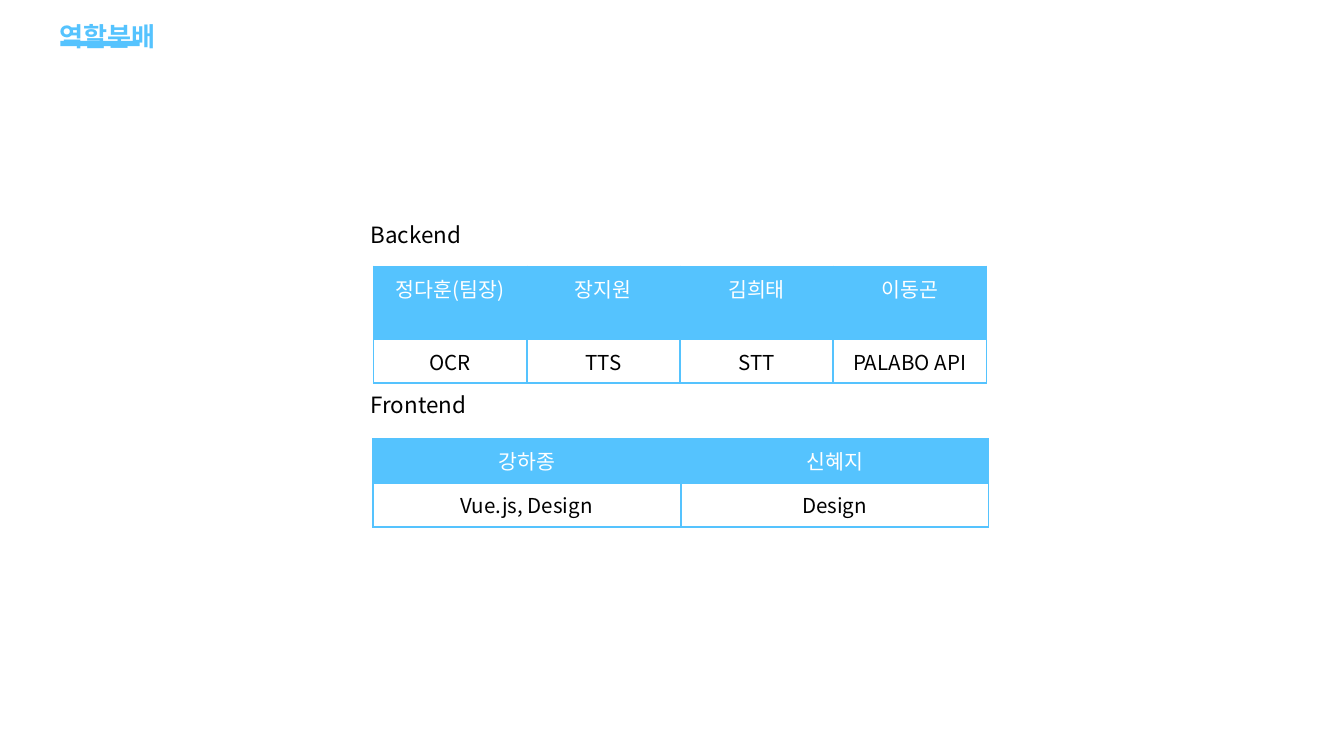
from dataclasses import dataclass

from lxml import etree
from pptx import Presentation
from pptx.dml.color import RGBColor
from pptx.enum.shapes import MSO_SHAPE
from pptx.enum.text import MSO_ANCHOR, MSO_AUTO_SIZE, PP_ALIGN
from pptx.oxml.ns import qn
from pptx.util import Inches, Pt

RECT = MSO_SHAPE.RECTANGLE
LEFT, CENTER = PP_ALIGN.LEFT, PP_ALIGN.CENTER
TOP = MSO_ANCHOR.TOP
NO_FIT, GROW = MSO_AUTO_SIZE.NONE, MSO_AUTO_SIZE.SHAPE_TO_FIT_TEXT

FONT = "Noto Sans CJK KR"
SKY, WHITE, BLACK = "55C3FE", "FFFFFF", "000000"

# The 16:9 slide is a grid of 100 columns by 100 rows.
WIDTH = Inches(10)
HEIGHT = WIDTH * 9 // 16
COL, ROW = WIDTH / 100, HEIGHT / 100


@dataclass
class Box:
    x: float
    y: float
    w: float
    h: float

    def emu(self) -> tuple[int, int, int, int]:
        return (round(self.x * COL), round(self.y * ROW),
                round(self.w * COL), round(self.h * ROW))


@dataclass
class Team:
    name: str
    label: Box
    table: Box
    roles: dict[str, str]


TEAMS = [
    Team("Backend", Box(26.6, 28.35, 9, 5.3), Box(27.8, 35.25, 45.6, 10),
         {"정다훈(팀장)": "OCR", "장지원": "TTS", "김희태": "STT", "이동곤": "PALABO API"}),
    Team("Frontend", Box(26.6, 50.8, 9.6, 5.3), Box(27.75, 58.1, 45.8, 11.6),
         {"강하종": "Vue.js, Design", "신혜지": "Design"}),
]


def rgb(color: str) -> RGBColor:
    return RGBColor.from_string(color)


def write(tf, text: str, *, size: float, color: str, bold: bool = False,
          align=LEFT, spacing: float = 1.0) -> None:
    p = tf.paragraphs[0]
    p.alignment = align
    p.line_spacing = spacing
    p.space_before = Pt(0)
    r = p.add_run()
    r.text = text
    r.font.size = Pt(size)
    r.font.bold = bold
    r.font.color.rgb = rgb(color)
    r.font.name = FONT
    etree.SubElement(r._r.get_or_add_rPr(), qn("a:ea"), typeface=FONT)


def add_borders(cell, color: str, width: float) -> None:
    tc_pr = cell._tc.get_or_add_tcPr()
    for side in ("lnL", "lnR", "lnT", "lnB"):
        ln = etree.SubElement(tc_pr, qn(f"a:{side}"), w=str(Pt(width)))
        fill = etree.SubElement(ln, qn("a:solidFill"))
        etree.SubElement(fill, qn("a:srgbClr"), val=color)


def add_title(slide, text: str, box: Box) -> None:
    sp = slide.shapes.title
    sp.left, sp.top, sp.width, sp.height = box.emu()
    tf = sp.text_frame
    tf.margin_left = tf.margin_right = tf.margin_top = tf.margin_bottom = Inches(0.1)
    tf.vertical_anchor = TOP
    tf.auto_size = NO_FIT
    write(tf, text, size=14, color=SKY, bold=True, spacing=1.15)


def add_label(slide, text: str, box: Box) -> None:
    tf = slide.shapes.add_textbox(*box.emu()).text_frame
    tf.word_wrap = False
    tf.auto_size = GROW
    write(tf, text, size=12, color=BLACK)


def add_role_table(slide, roles: dict[str, str], box: Box) -> None:
    table = slide.shapes.add_table(2, len(roles), *box.emu()).table
    table.first_row = table.horz_banding = False
    for row, texts in enumerate((roles.keys(), roles.values())):
        for col, text in enumerate(texts):
            cell = table.cell(row, col)
            add_borders(cell, SKY, 1)
            if row == 0:
                cell.fill.solid()
                cell.fill.fore_color.rgb = rgb(SKY)
            else:
                cell.fill.background()
            write(cell.text_frame, text, size=11, align=CENTER,
                  color=WHITE if row == 0 else BLACK)


def add_bar(slide, box: Box, color: str) -> None:
    sp = slide.shapes.add_shape(RECT, *box.emu())
    sp.shadow.inherit = False
    sp.fill.solid()
    sp.fill.fore_color.rgb = rgb(color)
    sp.line.fill.background()


def main() -> None:
    prs = Presentation()
    prs.slide_width, prs.slide_height = WIDTH, HEIGHT
    slide = prs.slides.add_slide(prs.slide_layouts.get_by_name("Title Only"))
    add_title(slide, "역할분배", Box(3.4, 0.3, 93.2, 17.3))
    for team in TEAMS:
        add_role_table(slide, team.roles, team.table)
        add_label(slide, team.name, team.label)
    add_bar(slide, Box(4.5, 5.4, 5.9, 0.7), SKY)
    prs.save("out.pptx")


if __name__ == "__main__":
    main()
